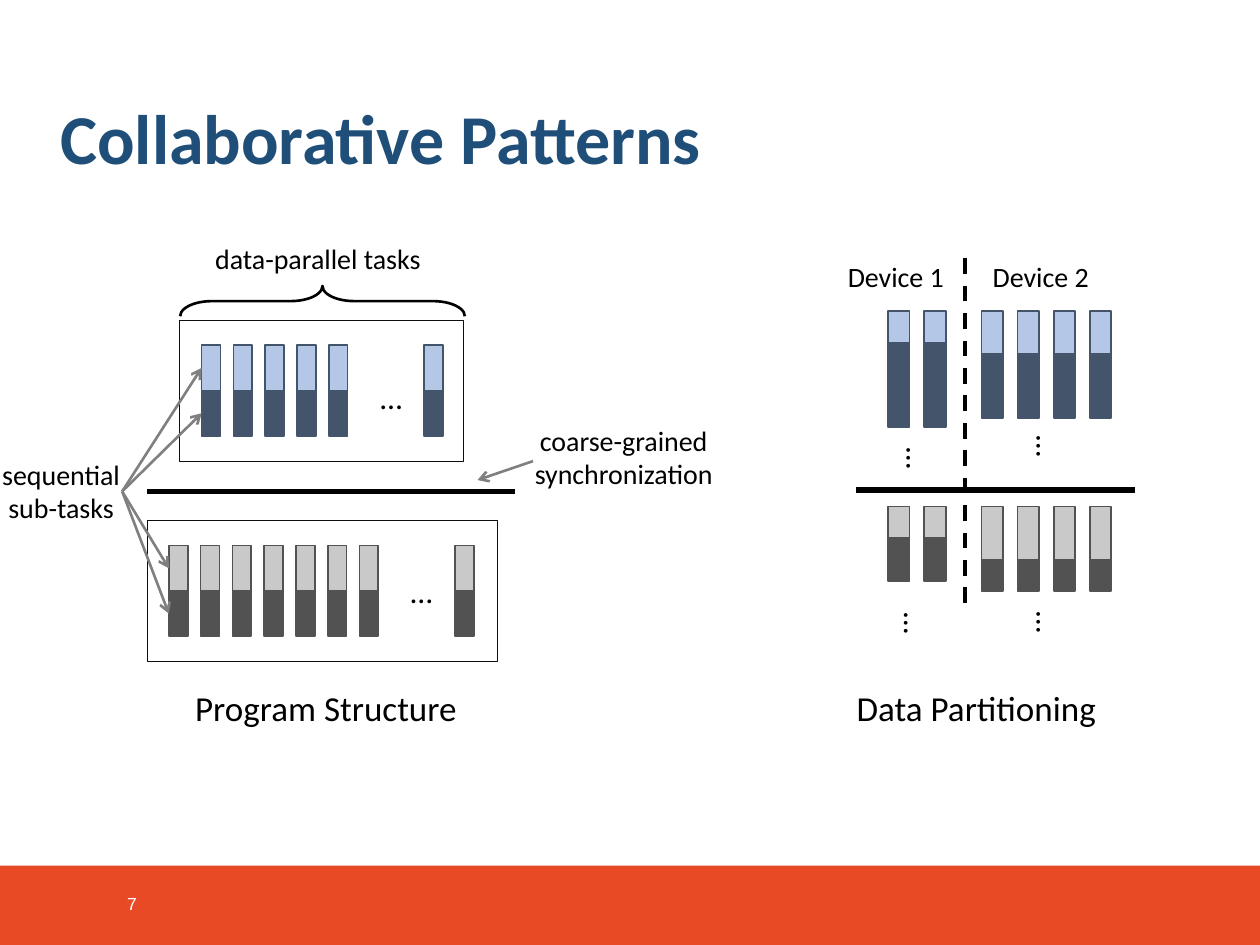
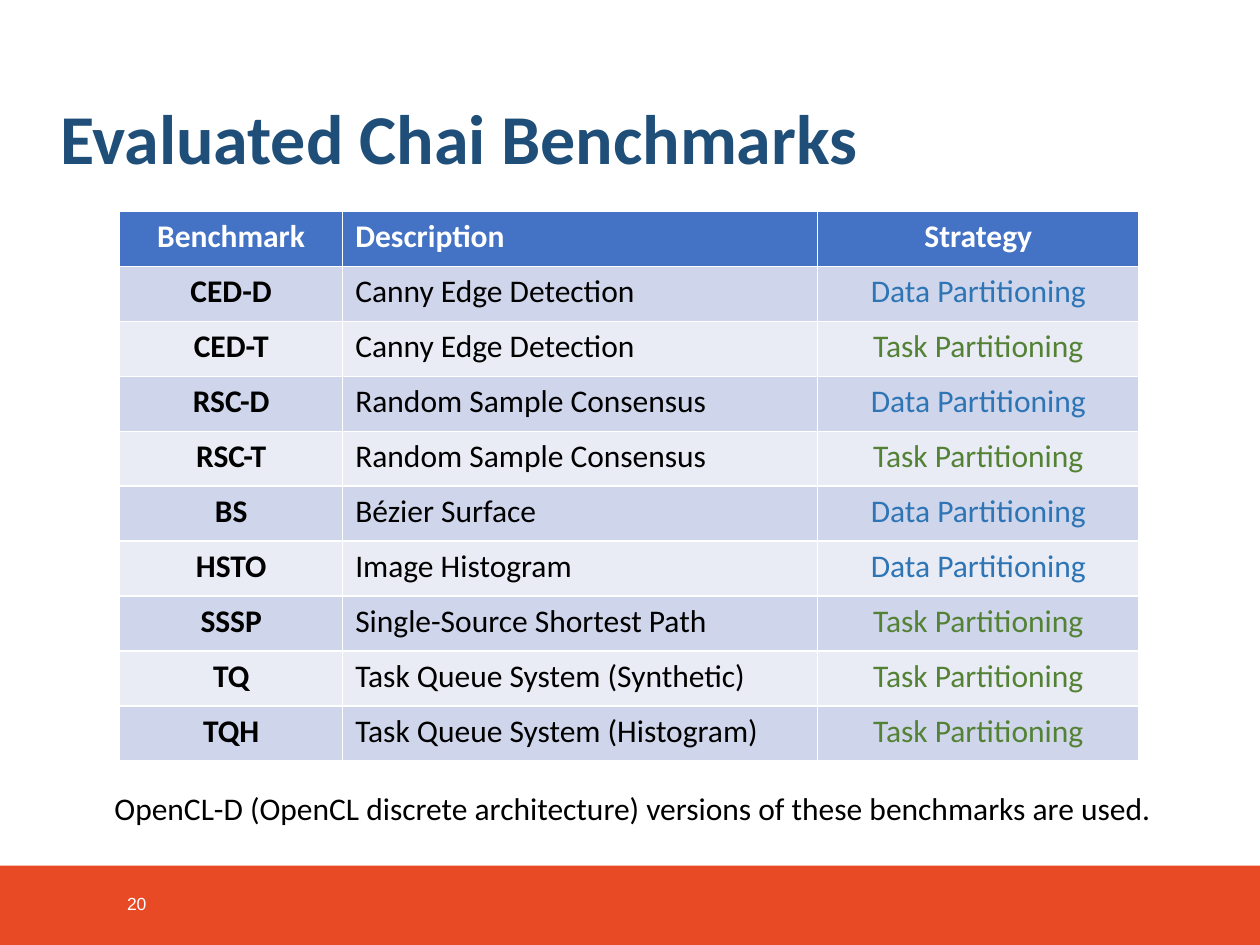
import lxml.etree
import pptx
import pptx.dml.color
import pptx.enum.dml
import pptx.enum.shapes
import pptx.enum.text
import pptx.oxml.ns
import pptx.util

Inches = pptx.util.Inches
Pt = pptx.util.Pt
tint = pptx.dml.color.RGBColor.from_string
kinds = pptx.enum.shapes.MSO_SHAPE
anchors = pptx.enum.text.MSO_ANCHOR
aligns = pptx.enum.text.PP_ALIGN

BLACK, WHITE, GRAY = "000000", "FFFFFF", "808080"
ORANGE, NAVY = "E84A26", "1F4E79"
BLUES = ("B4C7E7", "44546A")
GRAYS = ("C9C9C9", "525252")


def write(frame, text, size, hue=BLACK, bold=False, center=False, font="Calibri"):
    para = frame.paragraphs[0]
    para.alignment = aligns.CENTER if center else aligns.LEFT
    run = para.add_run()
    run.text = text
    run.font.name = font
    run.font.size = Pt(size)
    run.font.bold = bold
    run.font.color.rgb = tint(hue)


def draw(slide, kind, box, fill=None, edge=None, width=1):
    shape = slide.shapes.add_shape(kind, *map(Inches, box))
    shape.shadow.inherit = False
    if fill:
        shape.fill.solid()
        shape.fill.fore_color.rgb = tint(fill)
    else:
        shape.fill.background()
    if edge:
        shape.line.color.rgb = tint(edge)
        shape.line.width = Pt(width)
    else:
        shape.line.fill.background()
    return shape


deck = pptx.Presentation()
deck.slide_width = Inches(10)
deck.slide_height = Inches(7.5)

slides = []
for title, number in (("Collaborative Patterns", "7"), ("Evaluated Chai Benchmarks", "20")):
    slide = deck.slides.add_slide(deck.slide_layouts[6])
    draw(slide, kinds.RECTANGLE, (0, 6.87, 10, 0.63), ORANGE)
    for text, box, size, hue, bold, font in (
        (number, (0.91, 6.97, 0.52, 0.4), 10, WHITE, False, "Arial"),
        (title, (0.38, 0.4, 9.19, 1.45), 40, NAVY, True, "Calibri"),
    ):
        frame = slide.shapes.add_textbox(*map(Inches, box)).text_frame
        frame.word_wrap = True
        frame.vertical_anchor = anchors.MIDDLE
        frame.paragraphs[0].line_spacing = 0.9 if bold else 1.0
        write(frame, text, size, hue, bold, font=font)
    slides.append(slide)

plan, bench = slides

pitch = 2.27 / 9
gap = 0.86 / 3
groups = (
    (1.6, 2.74, pitch, (0, 1, 2, 3, 4, 7), 0.15, 0.36, 0.36, BLUES),
    (1.34, 4.33, pitch, (0, 1, 2, 3, 4, 5, 6, 9), 0.15, 0.36, 0.36, GRAYS),
    (7.05, 2.47, gap, range(2), 0.17, 0.25, 0.67, BLUES),
    (7.79, 2.47, gap, range(4), 0.17, 0.34, 0.51, BLUES),
    (7.05, 4.02, gap, range(2), 0.17, 0.25, 0.34, GRAYS),
    (7.79, 4.02, gap, range(4), 0.17, 0.42, 0.25, GRAYS),
)
firsts = []
for left, top, step, slots, wide, upper, lower, (light, dark) in groups:
    for slot in slots:
        x = left + slot * step
        pair = (
            draw(plan, kinds.RECTANGLE, (x, top, wide, upper), light, dark),
            draw(plan, kinds.RECTANGLE, (x, top + upper, wide, lower), dark, dark),
        )
        if slot == 0:
            firsts.append(pair)

for box in ((1.42, 2.54, 2.26, 1.12), (1.17, 4.13, 2.78, 1.12)):
    draw(plan, kinds.RECTANGLE, box, edge="0D0D0D", width=0.25)

brace = draw(plan, kinds.RIGHT_BRACE, (2.44, 1.26, 0.24, 2.26), edge=BLACK, width=1.5)
brace.rotation = 270
brace.adjustments[0] = 1.05
brace.adjustments[1] = 0.5

labels = (
    ("data-parallel tasks", (1.61, 1.87, 1.87, 0.37), 16, 0),
    ("Device 1", (6.63, 2.01, 0.98, 0.37), 16, 0),
    ("Device 2", (7.78, 2.01, 0.98, 0.37), 16, 0),
    ("Program Structure", (1.45, 5.4, 2.31, 0.44), 20, 0),
    ("Data Partitioning", (6.7, 5.4, 2.13, 0.44), 20, 0),
    ("…", (2.92, 2.95, 0.31, 0.3), 18, 0),
    ("…", (3.16, 4.49, 0.31, 0.3), 18, 0),
    ("…", (7.15, 3.46, 0.35, 0.34), 18, 90),
    ("…", (8.18, 3.36, 0.35, 0.34), 18, 90),
    ("…", (7.13, 4.77, 0.35, 0.34), 18, 90),
    ("…", (8.18, 4.76, 0.35, 0.34), 18, 90),
)
for text, box, size, turn in labels:
    label = plan.shapes.add_textbox(*map(Inches, box))
    label.rotation = turn
    label.text_frame.word_wrap = False
    write(label.text_frame, text, size)

for text, box, inset in (
    ("coarse-grained synchronization", (3.59, 3.31, 2.72, 0.64), 0.1),
    ("sequential sub-tasks", (0, 3.63, 0.97, 0.54), 0),
):
    note = plan.shapes.add_textbox(*map(Inches, box))
    frame = note.text_frame
    frame.word_wrap = True
    frame.margin_left = frame.margin_right = Inches(inset)
    frame.margin_top = frame.margin_bottom = Inches(inset / 2)
    write(frame, text, 16, center=True)

wires = [
    ((4.09, 3.9), (1.17, 3.9), BLACK, 3, None),
    ((9.01, 3.89), (6.79, 3.89), BLACK, 3, None),
    ((7.66, 2.05), (7.66, 4.81), BLACK, 2.25, None),
    ((4.23, 3.66), (3.79, 3.81), GRAY, 1.5, None),
]
for bar in firsts[0] + firsts[1]:
    wires.append(((0.97, 3.9), (1, 3.9), GRAY, 1.5, bar))

for start, end, hue, width, bar in wires:
    wire = plan.shapes.add_connector(
        pptx.enum.shapes.MSO_CONNECTOR.STRAIGHT, *map(Inches, start + end))
    if bar:
        wire.begin_connect(note, 3)
        wire.end_connect(bar, 1)
    wire.line.color.rgb = tint(hue)
    wire.line.width = Pt(width)
    if width == 2.25:
        wire.line.dash_style = pptx.enum.dml.MSO_LINE.DASH
    props = wire._element.spPr
    if hue == GRAY:
        stroke = props.find(pptx.oxml.ns.qn("a:ln"))
        lxml.etree.SubElement(stroke, pptx.oxml.ns.qn("a:tailEnd"), type="arrow")
    lxml.etree.SubElement(props, pptx.oxml.ns.qn("a:effectLst"))

rows = (
    ("Benchmark", "Description", "Strategy"),
    ("CED-D", "Canny Edge Detection", "Data Partitioning"),
    ("CED-T", "Canny Edge Detection", "Task Partitioning"),
    ("RSC-D", "Random Sample Consensus", "Data Partitioning"),
    ("RSC-T", "Random Sample Consensus", "Task Partitioning"),
    ("BS", "Bézier Surface", "Data Partitioning"),
    ("HSTO", "Image Histogram", "Data Partitioning"),
    ("SSSP", "Single-Source Shortest Path", "Task Partitioning"),
    ("TQ", "Task Queue System (Synthetic)", "Task Partitioning"),
    ("TQH", "Task Queue System (Histogram)", "Task Partitioning"),
)
hues = {"Data Partitioning": "2E75B6", "Task Partitioning": "548235"}
grid = bench.shapes.add_table(
    len(rows), 3, *map(Inches, (0.95, 1.68, 8.1, 4.36))).table
for column, wide in zip(grid.columns, (1.77, 3.77, 2.55)):
    column.width = Inches(wide)
for r, row in enumerate(rows):
    head = r == 0
    for c, text in enumerate(row):
        cell = grid.cell(r, c)
        cell.fill.solid()
        cell.fill.fore_color.rgb = tint("4472C4" if head else ("E9EBF5", "CFD5EA")[r % 2])
        hue = WHITE if head else hues.get(text, BLACK)
        write(cell.text_frame, text, 18, hue, head or c == 0, c != 1)

frame = bench.shapes.add_textbox(*map(Inches, (0.81, 6.21, 9.19, 0.4))).text_frame
frame.word_wrap = True
write(frame, "OpenCL-D (OpenCL discrete architecture) versions of these benchmarks are used.", 18)

deck.save("out.pptx")
